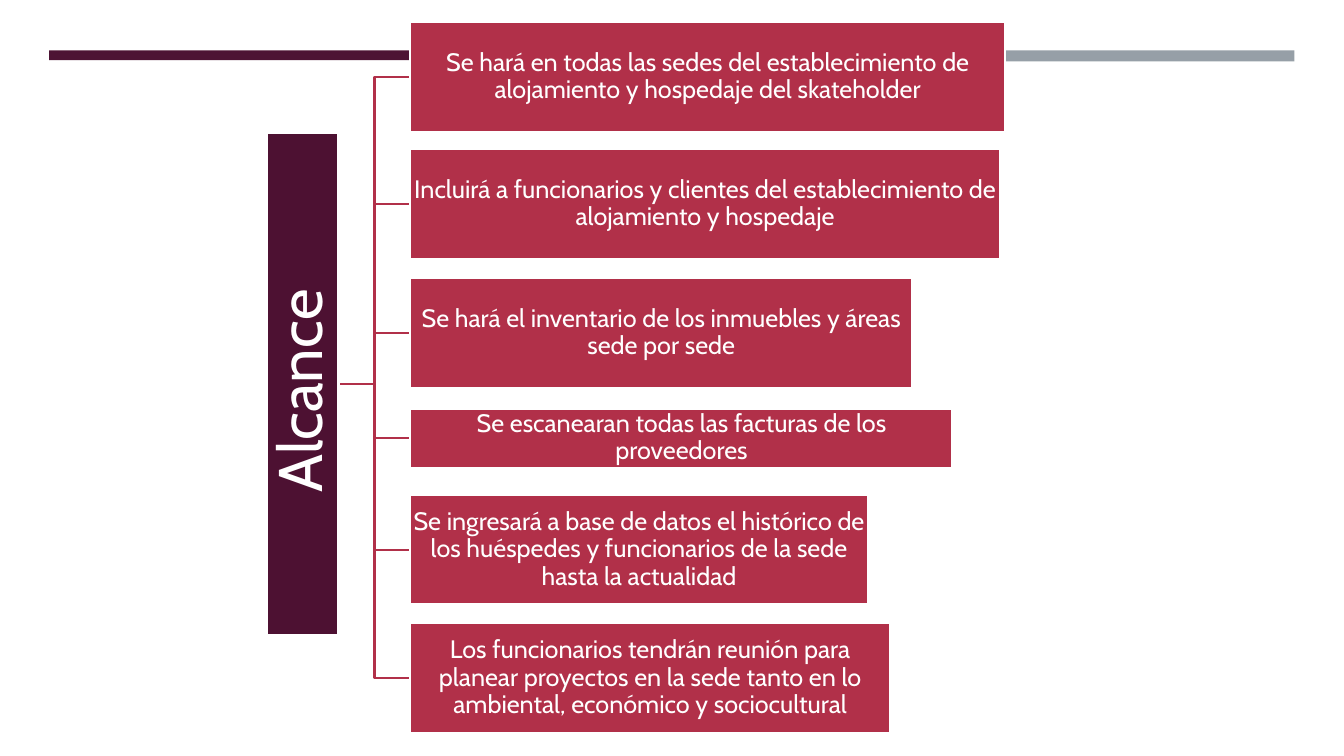
import pptx
import pptx.dml.color
import pptx.enum.shapes
import pptx.enum.text
import pptx.util
from pptx.util import Cm

FONT = "Cabin"
PLUM, CRIMSON, WHITE = "4D1132", "B13049", "FFFFFF"
BRANCH_LEFT = 10.34

# Text, top, width and height of each branch, in centimetres
BRANCHES = [
    ("Se hará en todas las sedes del establecimiento de alojamiento y hospedaje "
     "del skateholder", 0.56, 14.99, 2.77),
    ("Incluirá a funcionarios y clientes del establecimiento de alojamiento y "
     "hospedaje", 3.76, 14.86, 2.77),
    ("Se hará el inventario de los inmuebles y áreas sede por sede",
     7.01, 12.65, 2.77),
    ("Se escanearan todas las facturas de los proveedores", 10.29, 13.67, 1.5),
    ("Se ingresará a base de datos el histórico de los huéspedes y funcionarios "
     "de la sede hasta la actualidad", 12.47, 11.53, 2.77),
    ("Los funcionarios tendrán reunión para planear proyectos en la sede tanto "
     "en lo ambiental, económico y sociocultural", 15.7, 12.09, 2.77),
]


def color(hex_string):
    return pptx.dml.color.RGBColor.from_string(hex_string)


def paint(shape, fill, line=None):
    shape.fill.solid()
    shape.fill.fore_color.rgb = color(fill)
    if line:
        shape.line.color.rgb = color(line)
        shape.line.width = pptx.util.Pt(1.75)
    else:
        shape.line.fill.background()


def add_rectangle(slide, left, top, width, height, fill, line=None):
    shape = slide.shapes.add_shape(
        pptx.enum.shapes.MSO_SHAPE.RECTANGLE,
        Cm(left), Cm(top), Cm(width), Cm(height))
    shape.shadow.inherit = False
    paint(shape, fill, line)
    return shape


def write(shape, text, size, margin):
    frame = shape.text_frame
    frame.text = text
    frame.word_wrap = True
    frame.auto_size = pptx.enum.text.MSO_AUTO_SIZE.NONE
    frame.vertical_anchor = pptx.enum.text.MSO_ANCHOR.MIDDLE
    frame.margin_left = frame.margin_right = Cm(margin)
    frame.margin_top = frame.margin_bottom = Cm(margin)
    paragraph = frame.paragraphs[0]
    paragraph.alignment = pptx.enum.text.PP_ALIGN.CENTER
    paragraph.line_spacing = 0.9
    font = paragraph.runs[0].font
    font.name = FONT
    font.size = pptx.util.Pt(size)
    font.color.rgb = color(WHITE)


def add_header_bars(slide, left, top, right, width):
    add_rectangle(slide, left, top, width, 0.25, "4D1434")
    add_rectangle(slide, right - width, top, width, 0.28, "969FA7")


def add_elbow(slide, start_x, start_y, end_x, end_y):
    middle_x = (start_x + end_x) / 2
    builder = slide.shapes.build_freeform(Cm(start_x), Cm(start_y))
    builder.add_line_segments(
        [(Cm(middle_x), Cm(start_y)), (Cm(middle_x), Cm(end_y)),
         (Cm(end_x), Cm(end_y))], close=False)
    elbow = builder.convert_to_shape()
    elbow.shadow.inherit = False
    elbow.fill.background()
    elbow.line.color.rgb = color(CRIMSON)
    elbow.line.width = pptx.util.Pt(1.75)


def place_title(slide, left, top, width, height):
    """Turn the title to read upwards inside the given upright box."""
    title = slide.shapes.title
    title.left = Cm(left + (width - height) / 2)
    title.top = Cm(top + (height - width) / 2)
    title.width, title.height = Cm(height), Cm(width)
    title.rotation = 270
    paint(title, PLUM, WHITE)
    write(title, "Alcance ", 44, 0.07)
    # Bring the title in front of the connecting lines
    title.element.getparent().append(title.element)


def add_scope_tree(slide, left, top, width, height):
    # Connecting lines
    for _, branch_top, _, branch_height in BRANCHES:
        add_elbow(slide, left + width, top + height / 2,
                  BRANCH_LEFT, branch_top + branch_height / 2)
    # Root
    place_title(slide, left, top, width, height)
    # Branches
    for text, branch_top, branch_width, branch_height in BRANCHES:
        branch = add_rectangle(slide, BRANCH_LEFT, branch_top, branch_width,
                               branch_height, CRIMSON, WHITE)
        write(branch, text, 18, 0.03)


def main():
    presentation = pptx.Presentation()
    presentation.slide_width = Cm(33.87)
    presentation.slide_height = Cm(19.05)
    slide = presentation.slides.add_slide(
        presentation.slide_layouts.get_by_name("Title Only"))
    add_header_bars(slide, 1.24, 1.27, 32.62, 10.29)
    add_scope_tree(slide, 6.73, 3.34, 1.8, 12.67)
    presentation.save("out.pptx")


if __name__ == "__main__":
    main()
